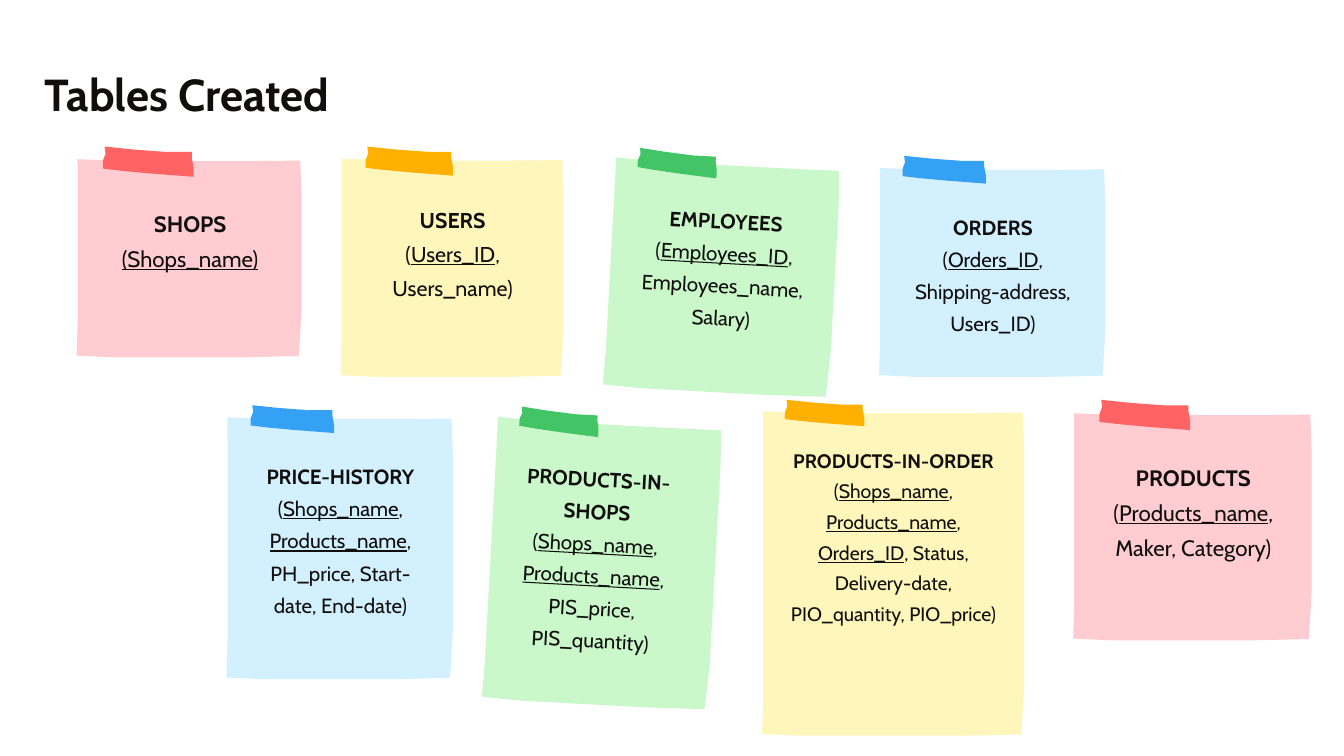
from pptx import Presentation
from pptx.dml.color import RGBColor
from pptx.enum.text import MSO_ANCHOR, PP_ALIGN
from pptx.util import Pt

LEFT, MID, TOP = PP_ALIGN.LEFT, PP_ALIGN.CENTER, MSO_ANCHOR.TOP

INK = "100F0D"
RED = ("FFCCD2", "FF6363")
GOLD = ("FFF6BB", "FFB001")
GREEN = ("CAF8CB", "43C466")
BLUE = ("D2F0FF", "35A1F4")

SHEET = [(1, 0), (50, 2), (-55, 2), (-1.5, 1.5), (-0.1, 37), (-0.1, -50),
         (-3, -1.5), (-66, -0.1), (40, -0.1), (0, -2), (1.2, -39), (1.2, 26)]
TAPE = [(0.02, 0), (0.34, 0.1), (0.7, 0.18), (0.98, 0.18), (0.98, 0.36),
        (1, 0.71), (1, 1), (0.52, 0.89), (0.2, 0.8), (0, 0.73), (0, 0.47),
        (0.03, 0.24)]

NOTES = [
    ("SHOPS", "*(Shops_name)*", RED, 23.9, 0,
     (82, 170.6, 241.2, 212.4), (110.2, 157, 97.2), (108.7, 216, 190, 61.2)),
    ("USERS", "(*Users_ID*, Users_name)", GOLD, 23, 0,
     (365, 170, 239, 234), (391.7, 157, 93.6), (391, 213.8, 188, 88.6)),
    ("ORDERS", "(*Orders_ID*, Shipping-address, Users_ID)", BLUE, 22, 0,
     (941.8, 180, 242.6, 224), (967, 167, 89.3), (968.4, 221.8, 190.8, 85)),
    ("EMPLOYEES", "(*Employees_ID*, Employees_name, Salary)", GREEN, 22, 3.1,
     (652.3, 175, 242, 245.5), (683.3, 160.6, 85), (681, 215.3, 190, 113)),
    ("PRODUCTS", "(*Products_name*, Maker, Category)", RED, 23.9, 0,
     (1149.8, 442.8, 255.6, 243.4), (1178, 428.4, 97.2),
     (1178, 488.2, 201, 92.2)),
    ("PRODUCTS-IN-ORDER",
     "(*Shops_name*, *Products_name*, *Orders_ID*, Status, Delivery-date, "
     "PIO_quantity, PIO_price)", GOLD, 20.9, 0,
     (816.5, 440.6, 280.8, 347.8), (841, 428.4, 85), (836, 473, 242.6, 216)),
    ("PRODUCTS-IN-SHOPS",
     "(*Shops_name*, *Products_name*, PIS_price, PIS_quantity)", GREEN, 22, 3.1,
     (524.2, 452.9, 242, 302.4), (556.6, 437.8, 85), (552.2, 491.8, 172, 170)),
    ("PRICE-HISTORY",
     "(*Shops_name*, *Products_name*, PH_price, Start-date, End-date)", BLUE,
     22, 0, (242.6, 447.1, 242.6, 280.8), (268.6, 434.2, 89.3),
     (269.3, 488.9, 190.8, 141.8)),
]


def paint(fmt, tint):
    fmt.rgb = RGBColor.from_string(tint)


def write(para, text, size=22, bold=False, align=MID, space=1.31):
    para.alignment = align
    para.line_spacing = space
    for i, part in enumerate(text.split("*")):
        if part:
            run = para.add_run()
            run.text = part
            font = run.font
            font.name = "Cabin"
            font.size = Pt(size)
            font.bold = bold
            font.underline = i % 2 == 1
            paint(font.color, INK)


def inset(val, span):
    return val if val >= 0 else span + val


class Board:
    def __init__(self, deck):
        self.slide = deck.slides.add_slide(deck.slide_layouts[6])

    def patch(self, shapes, spots, tint, turn):
        spots = [(Pt(x), Pt(y)) for x, y in spots]
        pen = shapes.build_freeform(*spots[0], scale=1.0)
        pen.add_line_segments(spots[1:], close=True)
        shape = pen.convert_to_shape()
        shape.rotation = turn
        shape.shadow.inherit = False
        shape.fill.solid()
        paint(shape.fill.fore_color, tint)
        shape.line.fill.background()

    def sheet(self, shapes, box, tint, turn):
        x, y, w, h = box
        spots = [(x + inset(a, w), y + inset(b, h)) for a, b in SHEET]
        self.patch(shapes, spots, tint, turn)

    def tape(self, shapes, place, tint, turn):
        x, y, w = place
        spots = [(x + a * w, y + b * w / 3) for a, b in TAPE]
        self.patch(shapes, spots, tint, turn)

    def label(self, shapes, box, turn=0):
        shape = shapes.add_textbox(*map(Pt, box))
        shape.rotation = turn
        frame = shape.text_frame
        frame.word_wrap = True
        frame.vertical_anchor = TOP
        frame.margin_left = frame.margin_right = 0
        frame.margin_top = frame.margin_bottom = 0
        return frame

    def title(self, text, box):
        frame = self.label(self.slide.shapes, box)
        write(frame.paragraphs[0], text, size=48, bold=True, align=LEFT,
              space=1.08)

    def note(self, name, body, tints, size, turn, sheet, tape, box):
        shapes = self.slide.shapes.add_group_shape().shapes
        self.sheet(shapes, sheet, tints[0], turn)
        self.tape(shapes, tape, tints[1], turn)
        frame = self.label(shapes, box, turn)
        write(frame.paragraphs[0], name, size=size, bold=True)
        write(frame.add_paragraph(), body, size=size)


def main():
    deck = Presentation()
    deck.slide_width, deck.slide_height = Pt(1440), Pt(810)
    board = Board(deck)
    board.title("Tables Created", (47.5, 67, 356.4, 52.6))
    for note in NOTES:
        board.note(*note)
    deck.save("out.pptx")


if __name__ == "__main__":
    main()
